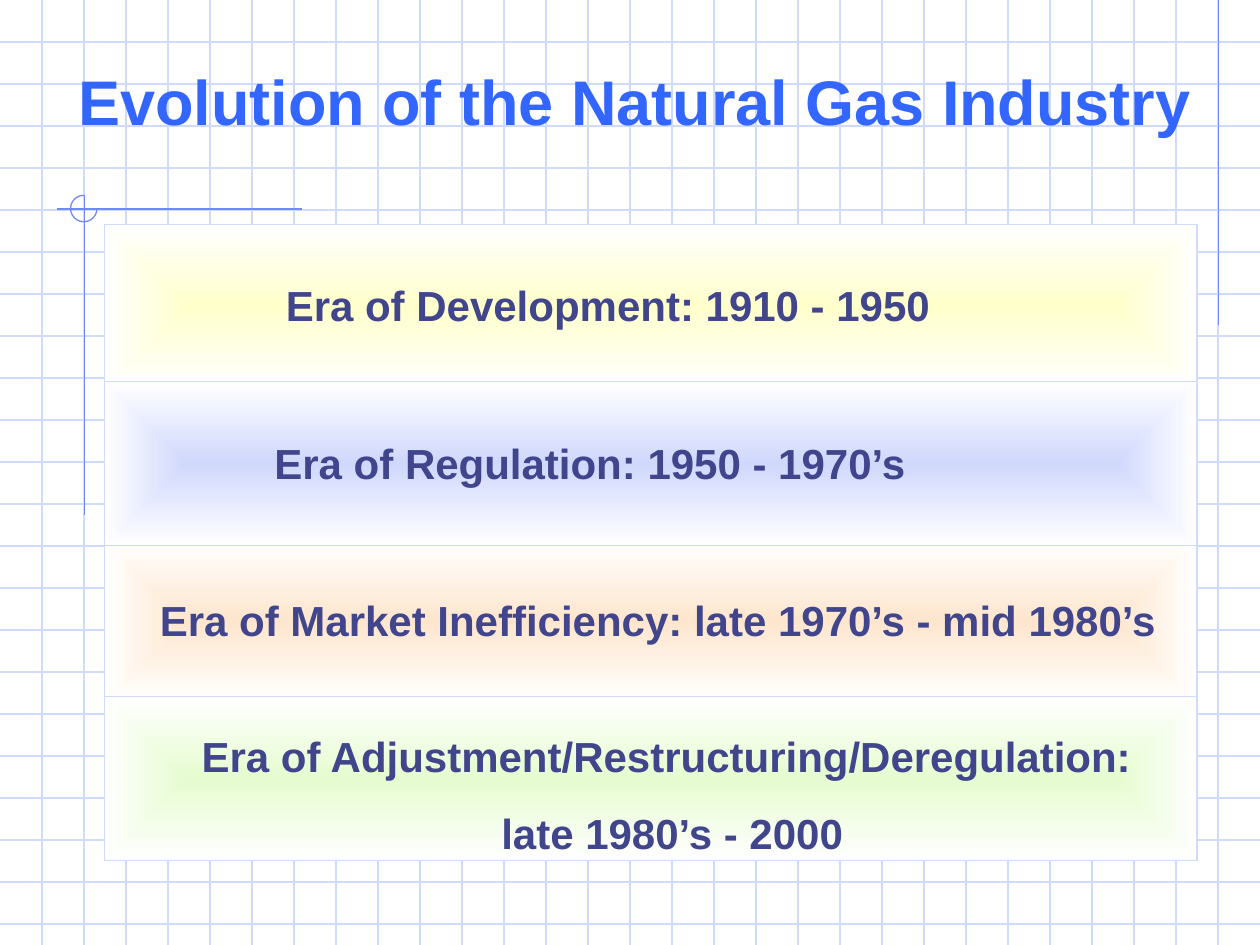
from dataclasses import dataclass

from lxml import etree
from pptx import Presentation
from pptx import util as u
from pptx.dml.color import RGBColor
from pptx.enum import shapes, text
from pptx.oxml import ns

GRID_COLOUR = "CFDBFD"
ACCENT_COLOUR = "6F89F7"
TITLE_COLOUR = "3366FF"
ERA_COLOUR = "40458C"
BAND_LEFT, BAND_TOP, BAND_WIDTH, BAND_HEIGHT, BAND_PITCH = 0.83, 1.78, 8.67, 1.3, 1.25
GRID_STEPS_PER_INCH = 3


@dataclass(frozen=True)
class Era:
    row: int
    colour: str
    lines: tuple[str, ...]
    left: float
    top: float
    width: float
    height: float = 0.5
    align: text.PP_ALIGN = text.PP_ALIGN.LEFT


ERAS = [
    Era(2, "FEE6CE", ("Era of Market Inefficiency: late 1970’s - mid 1980’s",),
        1.17, 4.67, 8.25),
    Era(0, "FFFFCC", ("Era of Development: 1910 - 1950",), 2.17, 2.17, 6),
    Era(1, "D0D8FC", ("Era of Regulation: 1950 - 1970’s",), 2.08, 3.42, 5.67),
    Era(3, "E6FCD0", ("Era of Adjustment/Restructuring/Deregulation: ", "late 1980’s - 2000"),
        1.5, 5.75, 7.67, 1.11, text.PP_ALIGN.CENTER),
]


def rgb(value: str) -> RGBColor:
    """Turn a hex string into a colour."""
    return RGBColor.from_string(value)


def inches(*lengths: float) -> list[u.Length]:
    """Convert several lengths in inches."""
    return [u.Inches(length) for length in lengths]


def style_line(shape, colour: str) -> None:
    """Give a shape or connector its thin outline."""
    shape.line.color.rgb = rgb(colour)
    shape.line.width = u.Pt(0.75)


def add_line(page, x1: float, y1: float, x2: float, y2: float, colour: str) -> None:
    """Draw a straight line without a shadow."""
    line = page.shapes.add_connector(shapes.MSO_CONNECTOR.STRAIGHT, *inches(x1, y1, x2, y2))
    style_line(line, colour)
    etree.SubElement(line._element.spPr, ns.qn("a:effectLst"))


def add_grid(page, width: float, height: float) -> None:
    """Rule the page like squared paper."""
    for step in range(1, int(height * GRID_STEPS_PER_INCH) + 1):
        y = step / GRID_STEPS_PER_INCH
        add_line(page, 0, y, width, y, GRID_COLOUR)
    for step in range(1, int(width * GRID_STEPS_PER_INCH)):
        x = step / GRID_STEPS_PER_INCH
        add_line(page, x, 0, x, height, GRID_COLOUR)


def add_accents(page) -> None:
    """Draw the margin rules and the three-quarter circle at their crossing."""
    add_line(page, 9.67, 0, 9.67, 2.58, ACCENT_COLOUR)
    add_line(page, 2.4, 1.66, 0.45, 1.66, ACCENT_COLOUR)
    add_line(page, 0.67, 1.55, 0.67, 4.09, ACCENT_COLOUR)
    arc = page.shapes.add_shape(shapes.MSO_SHAPE.ARC, *inches(0.56, 1.55, 0.21, 0.21))
    arc.adjustments[0] = 0
    arc.adjustments[1] = 162
    arc.shadow.inherit = False
    arc.fill.background()
    style_line(arc, ACCENT_COLOUR)


def add_band(page, era: Era) -> None:
    """Draw a band that fades from its colour in the centre to white."""
    top = BAND_TOP + era.row * BAND_PITCH
    band = page.shapes.add_shape(
        shapes.MSO_SHAPE.RECTANGLE, *inches(BAND_LEFT, top, BAND_WIDTH, BAND_HEIGHT))
    band.shadow.inherit = False
    style_line(band, GRID_COLOUR)
    band.fill.gradient()
    for stop, colour in zip(band.fill.gradient_stops, (era.colour, "FFFFFF")):
        stop.color.rgb = rgb(colour)
    linear = band._element.spPr.find(".//" + ns.qn("a:lin"))
    gradient = linear.getparent()
    gradient.remove(linear)
    rect_path = etree.SubElement(gradient, ns.qn("a:path"), {"path": "rect"})
    etree.SubElement(rect_path, ns.qn("a:fillToRect"), dict.fromkeys("ltrb", "50000"))


def add_text(page, lines: tuple[str, ...], *, left: float, top: float, width: float,
             height: float, size: float, colour: str,
             align: text.PP_ALIGN = text.PP_ALIGN.LEFT,
             anchor: text.MSO_ANCHOR = text.MSO_ANCHOR.TOP) -> None:
    """Add a bold text box with one paragraph per line."""
    box = page.shapes.add_textbox(*inches(left, top, width, height))
    frame = box.text_frame
    frame.word_wrap = True
    frame.vertical_anchor = anchor
    for index, line in enumerate(lines):
        para = frame.add_paragraph() if index else frame.paragraphs[0]
        para.alignment = align
        if index:
            para.space_before = u.Pt(15)
        span = para.add_run()
        span.text = line
        span.font.name = "Arial"
        span.font.size = u.Pt(size)
        span.font.bold = True
        span.font.color.rgb = rgb(colour)


def main() -> None:
    """Build and save the slide."""
    deck = Presentation()
    deck.slide_width, deck.slide_height = inches(10, 7.5)
    page = deck.slides.add_slide(deck.slide_layouts[6])
    add_grid(page, 10, 7.5)
    add_accents(page)
    add_text(page, ("Evolution of the Natural Gas Industry",), left=0.5, top=0.42,
             width=9.08, height=0.75, size=36, colour=TITLE_COLOUR,
             align=text.PP_ALIGN.CENTER, anchor=text.MSO_ANCHOR.MIDDLE)
    for era in ERAS:
        add_band(page, era)
    for era in sorted(ERAS, key=lambda item: item.row):
        add_text(page, era.lines, left=era.left, top=era.top, width=era.width,
                 height=era.height, size=24, colour=ERA_COLOUR, align=era.align)
    deck.save("out.pptx")


if __name__ == "__main__":
    main()
